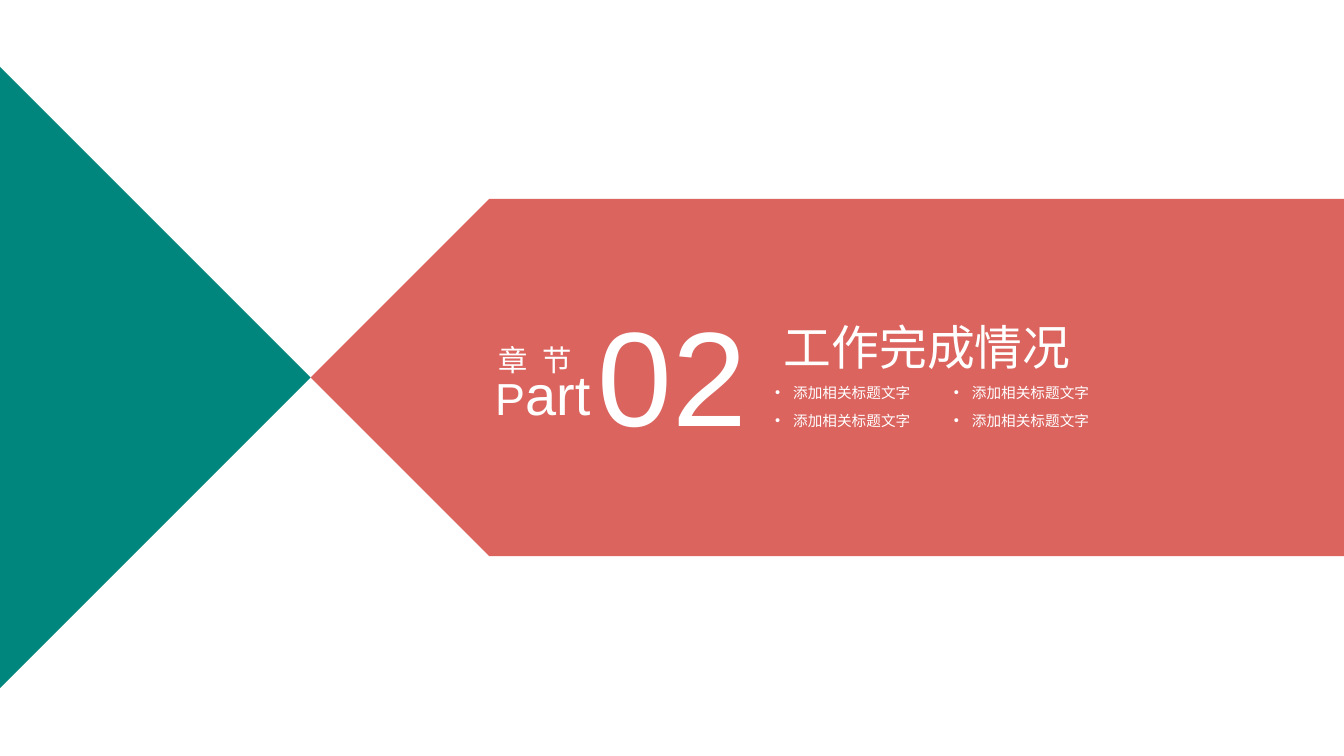
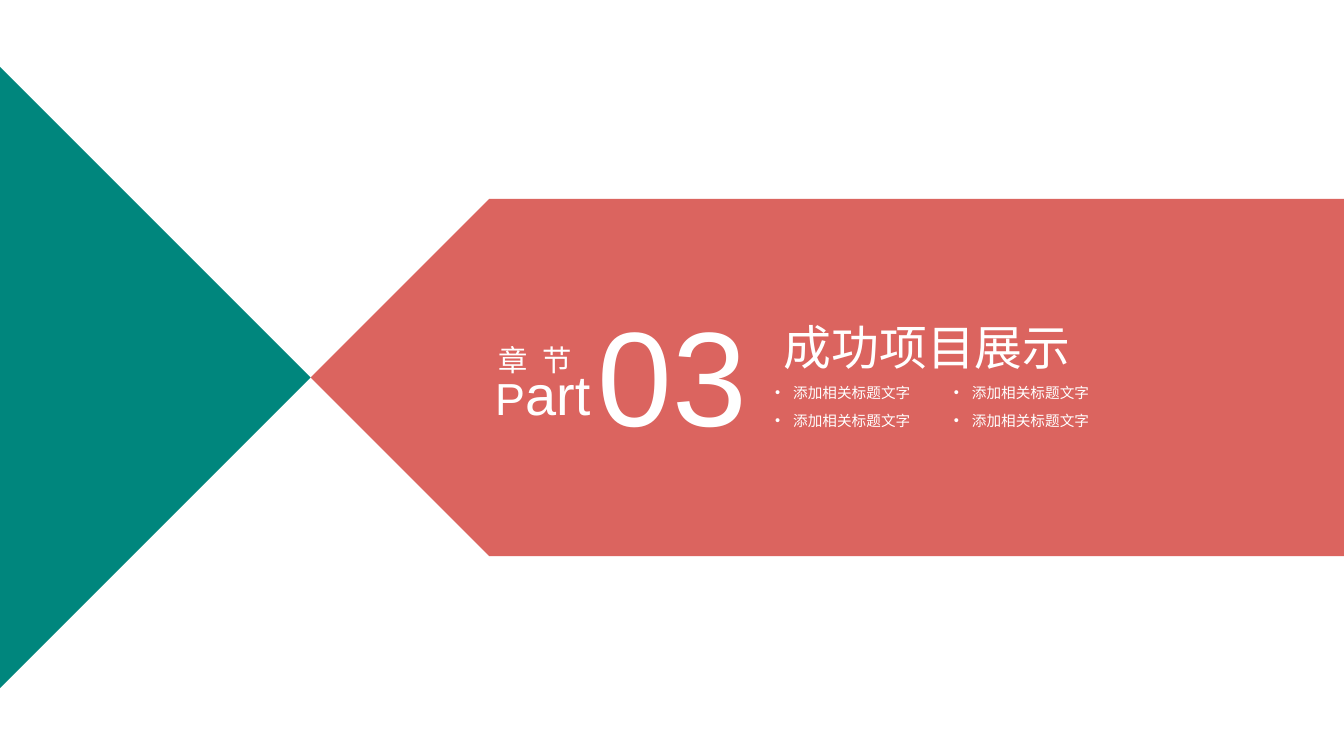
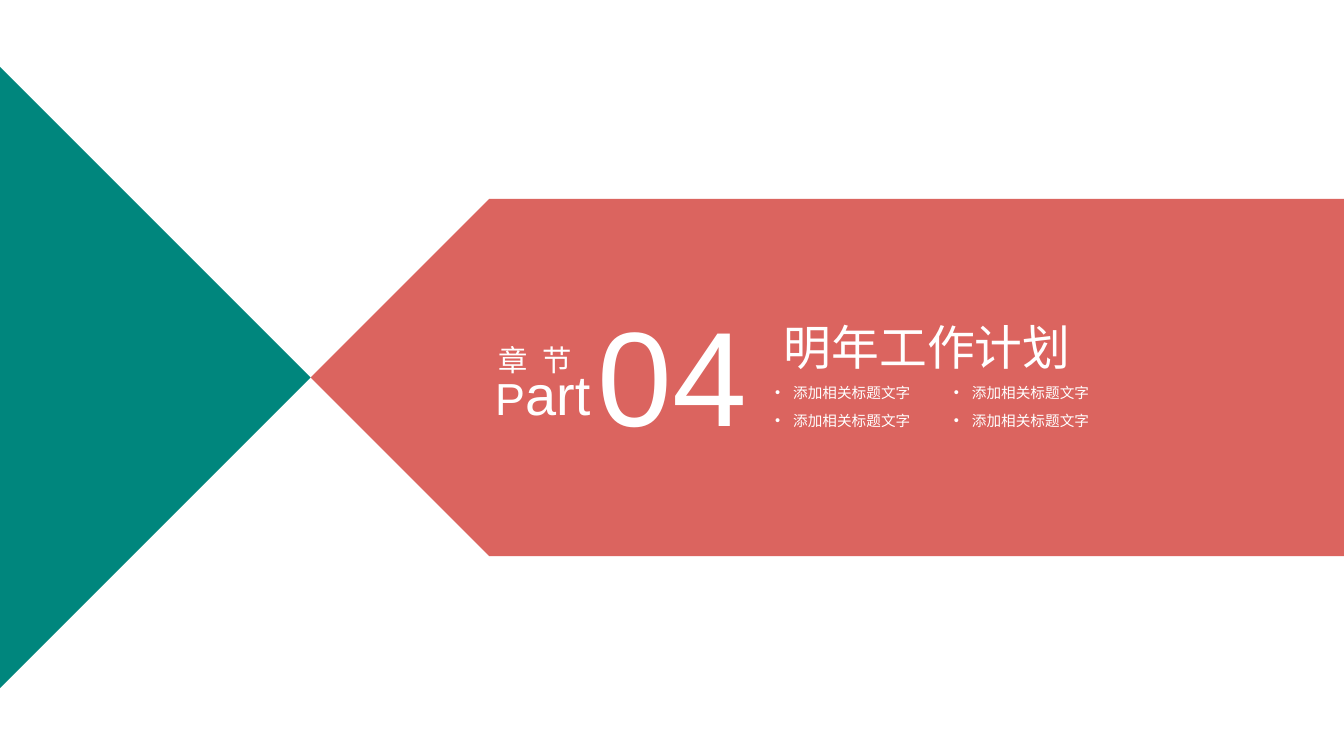
from dataclasses import dataclass
from itertools import product

from lxml.etree import SubElement
from pptx import Presentation
from pptx.dml.color import RGBColor
from pptx.enum.shapes import MSO_SHAPE as Preset
from pptx.enum.text import MSO_ANCHOR as Anchor, MSO_AUTO_SIZE as AutoSize, PP_ALIGN as Align
from pptx.oxml.ns import qn
from pptx.util import Inches, Pt


@dataclass(frozen=True)
class Theme:
    font: str = "Arial"
    text: RGBColor = RGBColor(0xFF, 0xFF, 0xFF)
    banner: RGBColor = RGBColor(0xD2, 0x3E, 0x38)
    banner_opacity: int = 80
    triangle: RGBColor = RGBColor(0x00, 0x86, 0x7D)
    title_size: float = 36
    bullet_size: float = 11
    number_size: float = 101.2
    chapter_size: float = 22.1
    initial_size: float = 33.8
    part_size: float = 42.1


THEME = Theme()
SLIDE_WIDTH, SLIDE_HEIGHT = 14.06, 7.91
TIP_X, TIP_Y = 3.25, 3.95
BANNER_HEIGHT = 3.74
BULLET_LEFT, BULLET_TOP = 8.01, 3.97
COLUMN_STEP, ROW_STEP = 1.87, 0.29
BULLET_INDENT = 0.19

BULLET_TEXT = "添加相关标题文字"
CHAPTERS = [
    ("02", "工作完成情况"),
    ("03", "成功项目展示"),
    ("04", "明年工作计划"),
]


def place(shape, left, top, width, height):
    shape.left, shape.top = Inches(left), Inches(top)
    shape.width, shape.height = Inches(width), Inches(height)


def paint(shape, color):
    shape.shadow.inherit = False
    shape.fill.solid()
    shape.fill.fore_color.rgb = color
    shape.line.fill.background()


def add_run(paragraph, text, size):
    run = paragraph.add_run()
    run.text = text
    run.font.name = THEME.font
    run.font.size = Pt(size)
    run.font.color.rgb = THEME.text
    return run


def format_frame(frame, wrap, margins=(0, 0)):
    frame.word_wrap = wrap
    frame.auto_size = AutoSize.SHAPE_TO_FIT_TEXT
    frame.vertical_anchor = Anchor.TOP
    frame.margin_left = frame.margin_right = Inches(margins[0])
    frame.margin_top = frame.margin_bottom = Inches(margins[1])


def add_label(slide, box, margins=(0, 0)):
    label = slide.shapes.add_textbox(*map(Inches, box))
    format_frame(label.text_frame, False, margins)
    return label.text_frame.paragraphs[0]


def add_banner(slide):
    box = (TIP_X, TIP_Y - BANNER_HEIGHT / 2, SLIDE_WIDTH - TIP_X, BANNER_HEIGHT)
    banner = slide.shapes.add_shape(Preset.PENTAGON, *map(Inches, box))
    paint(banner, THEME.banner)
    color = banner.element.spPr.find(qn("a:solidFill"))[0]
    SubElement(color, qn("a:alpha"), val=str(THEME.banner_opacity * 1000))
    banner.element.spPr.find(qn("a:xfrm")).set("flipH", "1")
    slide.shapes.title.element.addprevious(banner.element)


def add_triangle(slide):
    builder = slide.shapes.build_freeform(0, Inches(TIP_Y - TIP_X))
    builder.add_line_segments(
        [(Inches(TIP_X), Inches(TIP_Y)), (0, Inches(TIP_Y + TIP_X))], close=True
    )
    paint(builder.convert_to_shape(), THEME.triangle)


def set_title(slide, text):
    title = slide.shapes.title
    place(title, 7.96, 3.32, 3.48, 0.61)
    format_frame(title.text_frame, True)
    paragraph = title.text_frame.paragraphs[0]
    paragraph.alignment = Align.CENTER
    add_run(paragraph, text, THEME.title_size)


def add_bullet(slide, row, column):
    left = BULLET_LEFT + column * COLUMN_STEP
    top = BULLET_TOP + row * ROW_STEP
    paragraph = add_label(slide, (left, top, 1.63, ROW_STEP), (0.1, 0.05))
    paragraph.level = 1
    properties = paragraph._p.get_or_add_pPr()
    properties.set("marL", str(Inches(BULLET_INDENT)))
    properties.set("indent", str(-Inches(BULLET_INDENT)))
    SubElement(properties, qn("a:buFont"), typeface=THEME.font)
    SubElement(properties, qn("a:buChar"), char="•")
    add_run(paragraph, BULLET_TEXT, THEME.bullet_size)


def add_part_number(slide, number):
    part = add_label(slide, (5.18, 3.76, 1.01, 0.71))
    add_run(part, "P", THEME.initial_size)
    add_run(part, "art", THEME.part_size)
    chapter = add_label(slide, (5.22, 3.58, 0.79, 0.37))
    run = add_run(chapter, "章 节", THEME.chapter_size)
    run.font._element.set("spc", "300")
    add_run(add_label(slide, (6.25, 3.06, 1.58, 1.7)), number, THEME.number_size)


def add_chapter_slide(presentation, number, title):
    slide = presentation.slides.add_slide(presentation.slide_layouts.get_by_name("Title Only"))
    add_banner(slide)
    set_title(slide, title)
    for row, column in product(range(2), repeat=2):
        add_bullet(slide, row, column)
    add_triangle(slide)
    add_part_number(slide, number)


def main():
    presentation = Presentation()
    presentation.slide_width = Inches(SLIDE_WIDTH)
    presentation.slide_height = Inches(SLIDE_HEIGHT)
    for number, title in CHAPTERS:
        add_chapter_slide(presentation, number, title)
    presentation.save("out.pptx")


if __name__ == "__main__":
    main()
